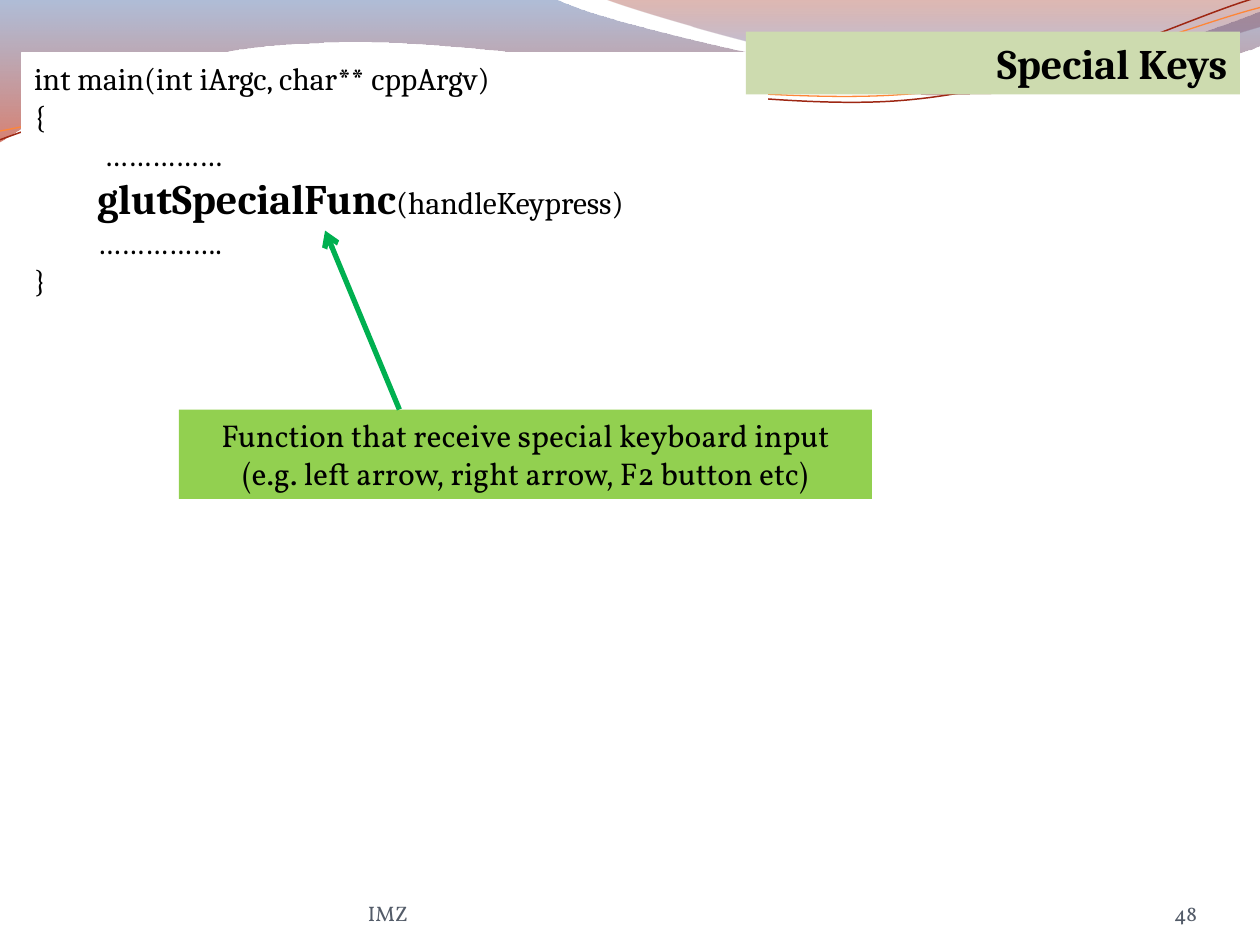
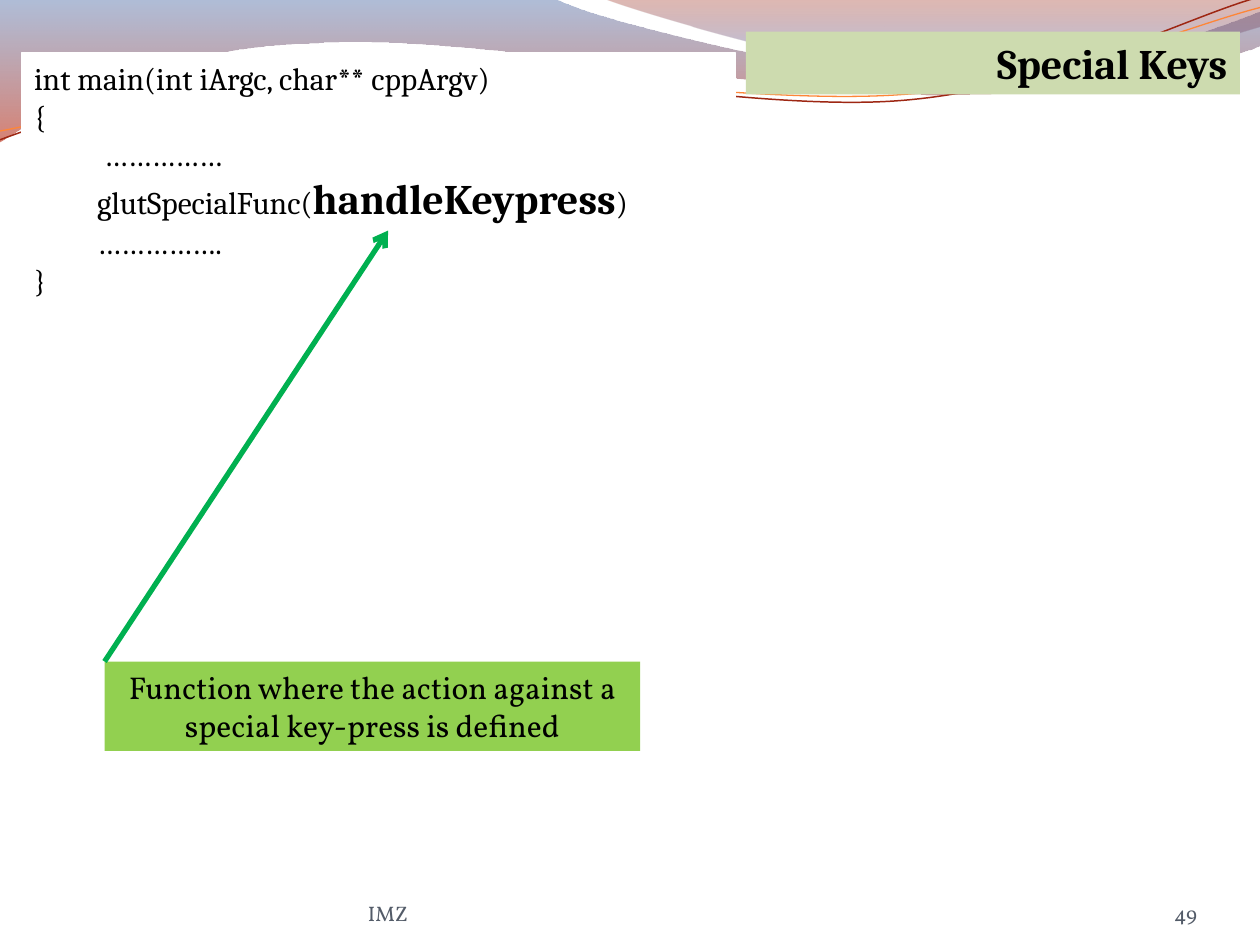
from lxml import etree
from pptx import Presentation
from pptx.dml.color import RGBColor
from pptx.enum.shapes import MSO_CONNECTOR, MSO_SHAPE
from pptx.enum.text import MSO_ANCHOR, MSO_AUTO_SIZE, PP_ALIGN
from pptx.oxml.ns import qn
from pptx.util import Inches, Pt

LEFT, CENTER, RIGHT = PP_ALIGN.LEFT, PP_ALIGN.CENTER, PP_ALIGN.RIGHT
TOP, BOTTOM = MSO_ANCHOR.TOP, MSO_ANCHOR.BOTTOM
FIXED = MSO_AUTO_SIZE.NONE
RECT, STRAIGHT = MSO_SHAPE.RECTANGLE, MSO_CONNECTOR.STRAIGHT

COLORS = {
    "black": "000000", "white": "FFFFFF", "band": "CDDBAF",
    "note": "92D050", "arrow": "00B050", "foot": "535B68",
    "blue": "4F6EA8", "red": "B61A00", "wine": "951500", "sky": "5681D1",
    "rust": "9E2713", "orange": "FE8637",
}
HEAD, BODY = "Cambria", "Vollkorn"
TITLE, FOOTER = "Special Keys", "IMZ"
TITLE_BOX = (5.92, 0.25, 3.92, 0.5)
FOOT_BOX = (2.92, 6.95, 3.67, 0.4)
PAGE_BOX = (8.67, 6.95, 0.83, 0.4)

BANDS = [
    ([("blue", 0, 45), ("red", 1, 55)],
     [(0, 0), (4.4, -0.01), (4.76, 0.17, 6.64, 0.63, 7.58, 0.63),
      (8.53, 0.63, 9.58, 0.26, 10, 0.09), (10.01, 0.36),
      (9.83, 0.44, 8.7, 0.76, 7.46, 0.75),
      (6.22, 0.75, 3.82, 0.28, 2.57, 0.34),
      (1.29, 0.36, 0.46, 0.83, -0.01, 1.13)]),
    ([("wine", 0, 30), ("sky", 0.8, 45)],
     [(4.79, -0.01), (5.09, 0.11, 6.82, 0.62, 7.69, 0.65),
      (8.56, 0.69, 9.61, 0.32, 10, 0.21), (10, 0)]),
]
CURVES = [
    ("rust", 0.85,
     [(0, 1.11), (0.48, 0.93, 1.58, 0.57, 2.77, 0.52),
      (3.95, 0.47, 5.93, 0.89, 7.13, 0.8),
      (8.33, 0.71, 9.38, 0.15, 9.98, -0.02)]),
    ("orange", 0.75,
     [(0, 1.04), (0.47, 0.96, 1.64, 0.61, 2.83, 0.56),
      (4.03, 0.51, 5.97, 0.84, 7.17, 0.75),
      (8.36, 0.67, 9.41, 0.21, 10, 0.06)]),
]

SLIDES = [
    {"page": "48", "width": 5.92,
     "call": [("glutSpecialFunc", True), ("(handleKeypress)", False)],
     "note": "Function that receive special keyboard input "
             "(e.g. left arrow, right arrow, F2 button etc)",
     "box": (1.42, 3.25, 5.5, 0.71),
     "arrow": (3.17, 3.25, 2.58, 1.83)},
    {"page": "49", "width": 5.67,
     "call": [("glutSpecialFunc(", False), ("handleKeypress", True), (")", False)],
     "note": "Function where the action against a special key-press is defined",
     "box": (0.83, 5.25, 4.25, 0.71),
     "arrow": (0.83, 5.25, 3.08, 1.83)},
]


def code_lines(call):
    return [
        (0, [("int main(int iArgc, char** cppArgv)", False)]),
        (0, [("{", False)]),
        (1, [(" ……………", False)]),
        (1, call),
        (1, [("…………….", False)]),
        (0, [("}", False)]),
    ]


def rgb(name):
    return RGBColor.from_string(COLORS[name])


def paint(fill, name):
    fill.solid()
    fill.fore_color.rgb = rgb(name)


def place(shape, box):
    shape.left, shape.top, shape.width, shape.height = map(Inches, box)


def style(para, size, face, color="black", bold=False, align=LEFT):
    para.alignment = align
    para.space_before = Pt(0)
    font = para.font
    font.size, font.name, font.bold = Pt(size), face, bold
    font.color.rgb = rgb(color)


def outline(slide, steps, close):
    ends = [tuple(map(Inches, step[-2:])) for step in steps]
    pen = slide.shapes.build_freeform(*ends[0])
    pen.add_line_segments(ends[1:], close=close)
    shape = pen.convert_to_shape()
    shape.shadow.inherit = False
    sides = list(shape.element.iter(qn("a:lnTo")))
    for side, step in zip(sides, steps[1:]):
        if len(step) == 6:
            bend(shape, side, step)
    return shape


def bend(shape, side, step):
    curve = etree.Element(qn("a:cubicBezTo"))
    for x, y in zip(step[::2], step[1::2]):
        etree.SubElement(curve, qn("a:pt"), x=str(Inches(x) - shape.left),
                         y=str(Inches(y) - shape.top))
    side.getparent().replace(side, curve)


def add_waves(slide):
    waves = []
    for stops, steps in BANDS:
        wave = outline(slide, steps, True)
        wave.fill.gradient()
        wave.fill.gradient_angle = 270
        for stop, (name, pos, _) in zip(wave.fill.gradient_stops, stops):
            stop.color.rgb = rgb(name)
            stop.position = pos
        tints = wave.element.spPr.iter(qn("a:srgbClr"))
        for tint, (_, _, alpha) in zip(list(tints), stops):
            etree.SubElement(tint, qn("a:alpha"), val=str(alpha * 1000))
        wave.line.fill.background()
        waves.append(wave)
    for name, width, steps in CURVES:
        wave = outline(slide, steps, False)
        wave.fill.background()
        wave.line.color.rgb = rgb(name)
        wave.line.width = Pt(width)
        waves.append(wave)
    for wave in waves:
        slide.slide_layout.shapes.element.append(wave.element)


def fit(frame):
    frame.word_wrap = True
    frame.auto_size = FIXED
    frame.vertical_anchor = TOP


def add_code(slide, call, width):
    body = slide.placeholders[1]
    place(body, (0.17, 0.42, width, 2.02))
    paint(body.fill, "white")
    body.line.color.rgb = rgb("white")
    body.line.width = Pt(0.75)
    frame = body.text_frame
    fit(frame)
    for i, (level, runs) in enumerate(code_lines(call)):
        para = frame.paragraphs[0] if i == 0 else frame.add_paragraph()
        para.level = level
        style(para, 18, HEAD)
        props = para._p.get_or_add_pPr()
        props.set("marL", str(Inches(0.5 * level)))
        props.set("indent", "0")
        props.insert_element_before(etree.Element(qn("a:buNone")), "a:tabLst", "a:defRPr")
        for text, strong in runs:
            run = para.add_run()
            run.text = text
            if strong:
                run.font.size, run.font.bold = Pt(24), True


def add_title(slide):
    title = slide.shapes.title
    place(title, TITLE_BOX)
    paint(title.fill, "band")
    title.text_frame.text = TITLE
    fit(title.text_frame)
    style(title.text_frame.paragraphs[0], 24, HEAD, bold=True, align=RIGHT)
    slide.shapes.element.append(title.element)


def add_note(slide, text, box):
    note = slide.shapes.add_shape(RECT, *map(Inches, box))
    note.shadow.inherit = False
    paint(note.fill, "note")
    note.line.fill.background()
    note.text_frame.text = text
    fit(note.text_frame)
    style(note.text_frame.paragraphs[0], 18, BODY, align=CENTER)


def add_arrow(slide, ends):
    arrow = slide.shapes.add_connector(STRAIGHT, *map(Inches, ends))
    arrow.line.color.rgb = rgb("arrow")
    arrow.line.width = Pt(3)
    props = arrow.element.spPr
    etree.SubElement(props.find(qn("a:ln")), qn("a:tailEnd"), type="arrow")
    etree.SubElement(props, qn("a:effectLst"))


def add_foot(slide, text, box, align):
    frame = slide.shapes.add_textbox(*map(Inches, box)).text_frame
    frame.text = text
    frame.word_wrap = True
    frame.vertical_anchor = BOTTOM
    frame.margin_left = frame.margin_right = 0
    frame.margin_top = frame.margin_bottom = 0
    style(frame.paragraphs[0], 12, BODY, "foot", align=align)


def main():
    deck = Presentation()
    deck.slide_width, deck.slide_height = Inches(10), Inches(7.5)
    for i, item in enumerate(SLIDES):
        slide = deck.slides.add_slide(deck.slide_layouts[1])
        if i == 0:
            add_waves(slide)
        add_code(slide, item["call"], item["width"])
        add_title(slide)
        add_note(slide, item["note"], item["box"])
        add_arrow(slide, item["arrow"])
        add_foot(slide, FOOTER, FOOT_BOX, LEFT)
        add_foot(slide, item["page"], PAGE_BOX, RIGHT)
    deck.save("out.pptx")


if __name__ == "__main__":
    main()
